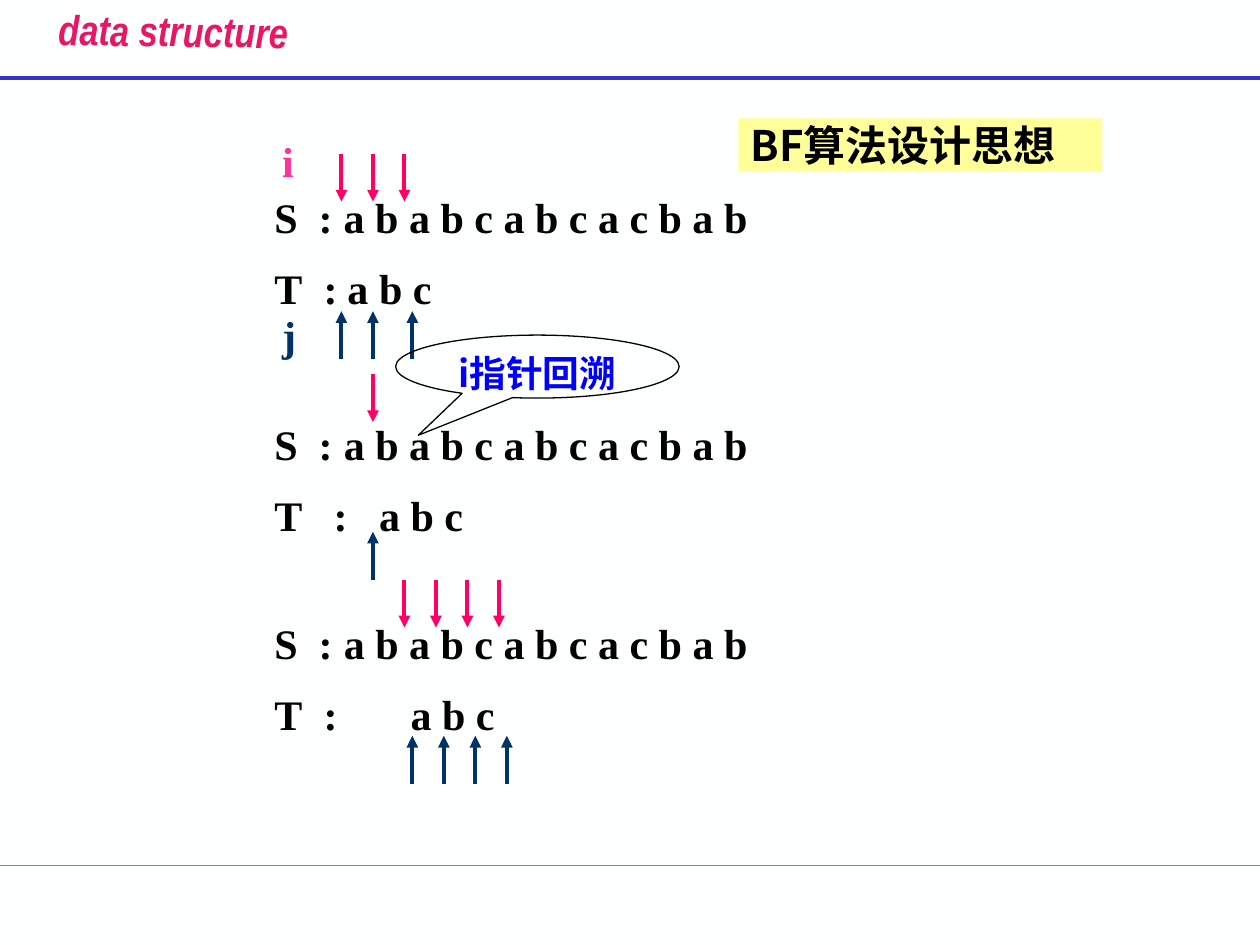
from dataclasses import dataclass

from lxml import etree
from pptx import Presentation
from pptx.dml.color import RGBColor
from pptx.enum.shapes import MSO_CONNECTOR, MSO_SHAPE
from pptx.enum.text import MSO_ANCHOR, PP_ALIGN
from pptx.oxml.ns import qn
from pptx.util import Inches, Pt

STRAIGHT = MSO_CONNECTOR.STRAIGHT
RECT, CALLOUT = MSO_SHAPE.RECTANGLE, MSO_SHAPE.OVAL_CALLOUT
LEFT, CENTER = PP_ALIGN.LEFT, PP_ALIGN.CENTER
TOP, MIDDLE = MSO_ANCHOR.TOP, MSO_ANCHOR.MIDDLE

BACKGROUND = RGBColor(0xFE, 0xFF, 0xFF)
BLACK = RGBColor(0x00, 0x00, 0x00)
BLUE = RGBColor(0x00, 0x00, 0xFF)
RULE_BLUE = RGBColor(0x33, 0x33, 0xCC)
RULE_GREEN = RGBColor(0x00, 0xCC, 0x99)
CRIMSON = RGBColor(0xE8, 0x17, 0x66)
ROSE = RGBColor(0xFF, 0x00, 0x66)
PINK = RGBColor(0xFF, 0x33, 0x99)
NAVY = RGBColor(0x00, 0x33, 0x66)
YELLOW = RGBColor(0xFF, 0xFF, 0x99)

SERIF, CJK, NARROW = "Times New Roman", "Noto Sans CJK SC", "Arial Narrow"
WIDTH, HEIGHT = 10, 7.5
GRID_LEFT, COLUMN = 2.71, 0.25
ARROW_LENGTH = 0.38
SOURCE, PATTERN = "a b a b c a b c a c b a b", "a b c"


@dataclass(frozen=True)
class ArrowRow:
    tail: float
    direction: int
    color: RGBColor
    columns: tuple[float, ...]


@dataclass(frozen=True)
class MatchStep:
    top: float
    width: float
    shift: int
    colon: float


@dataclass(frozen=True)
class Pointer:
    name: str
    top: float
    width: float
    color: RGBColor


ARROW_ROWS = (
    ArrowRow(1.22, 1, ROSE, (0, 1, 2)),
    ArrowRow(2.85, -1, NAVY, (0, 1, 2.25)),
    ArrowRow(2.97, 1, ROSE, (1,)),
    ArrowRow(4.6, -1, NAVY, (1,)),
    ArrowRow(4.6, 1, ROSE, (2, 3, 4, 5)),
    ArrowRow(6.22, -1, NAVY, (2.25, 3.25, 4.25, 5.25)),
)
STEPS = (
    MatchStep(1.47, 5.94, 0, 0.39),
    MatchStep(3.27, 6.31, 1, 0.47),
    MatchStep(4.85, 4.31, 2, 0.39),
)
POINTERS = (Pointer("i", 1.03, 0.69, PINK), Pointer("j", 2.41, 0.38, NAVY))


def write(sp, text: str, *, font: str = SERIF, size: float = 24,
          color: RGBColor = BLACK, italic: bool = False, align=LEFT,
          anchor=TOP, wrap: bool = True, before: int = 0,
          tabs: tuple[tuple[float, ...], ...] = ()) -> None:
    tf = sp.text_frame
    tf.word_wrap = wrap
    tf.vertical_anchor = anchor
    for n, line in enumerate(text.split("\n")):
        p = tf.paragraphs[0] if n == 0 else tf.add_paragraph()
        p.alignment = align
        p_pr = p._p.get_or_add_pPr()
        if before:
            spacing = etree.SubElement(p_pr, qn("a:spcBef"))
            etree.SubElement(spacing, qn("a:spcPct"), val=str(before * 1000))
        if tabs:
            stops = etree.SubElement(p_pr, qn("a:tabLst"))
            for stop in tabs[n]:
                etree.SubElement(stops, qn("a:tab"), pos=str(Inches(stop)), algn="l")
        r = p.add_run()
        r.text = line
        r.font.name, r.font.size = font, Pt(size)
        r.font.bold, r.font.italic = True, italic
        r.font.color.rgb = color
        etree.SubElement(r.font._element, qn("a:ea"), typeface=font)


def add_text(s, left: float, top: float, width: float, height: float,
             text: str, **style):
    sp = s.shapes.add_textbox(*map(Inches, (left, top, width, height)))
    write(sp, text, **style)
    return sp


def add_line(s, x1: float, y1: float, x2: float, y2: float,
             color: RGBColor, weight: float = 2.25, arrow: bool = False) -> None:
    line = s.shapes.add_connector(STRAIGHT, *map(Inches, (x1, y1, x2, y2)))
    line.line.color.rgb = color
    line.line.width = Pt(weight)
    if arrow:
        etree.SubElement(line.line._get_or_add_ln(), qn("a:tailEnd"), type="triangle")
    etree.SubElement(line._element.spPr, qn("a:effectLst"))


def add_arrow_row(s, row: ArrowRow) -> None:
    for column in row.columns:
        x = GRID_LEFT + column * COLUMN
        add_line(s, x, row.tail, x, row.tail + row.direction * ARROW_LENGTH,
                 row.color, arrow=True)


def add_step(s, step: MatchStep) -> None:
    pattern_start = 0.58 + step.shift * COLUMN
    add_text(s, 2.08, step.top, step.width, 1.11,
             f"S\t:\t{SOURCE}\nT\t:\t{PATTERN}", before=50,
             tabs=((0.35, 0.55), (step.colon, pattern_start)))


def add_heading(s) -> None:
    sp = s.shapes.add_shape(RECT, *map(Inches, (5.86, 0.94, 2.89, 0.42)))
    sp.shadow.inherit = False
    sp.fill.solid()
    sp.fill.fore_color.rgb = YELLOW
    sp.line.fill.background()
    write(sp, "BF算法设计思想", font=CJK, anchor=MIDDLE)


def add_callout(s) -> None:
    sp = s.shapes.add_shape(CALLOUT, *map(Inches, (3.14, 2.66, 2.25, 0.5)))
    sp.adjustments[0], sp.adjustments[1] = -0.42, 1.09
    sp.shadow.inherit = False
    sp.fill.background()
    sp.line.color.rgb = BLACK
    sp.line.width = Pt(0.75)
    write(sp, "i指针回溯", font=CJK, size=21, color=BLUE, align=CENTER, before=20)


def main() -> None:
    prs = Presentation()
    prs.slide_width, prs.slide_height = Inches(WIDTH), Inches(HEIGHT)
    s = prs.slides.add_slide(prs.slide_layouts[6])
    s.background.fill.solid()
    s.background.fill.fore_color.rgb = BACKGROUND

    add_line(s, 0, 6.87, WIDTH, 6.87, RULE_GREEN, 0.75)
    add_line(s, 0, 0.62, WIDTH, 0.62, RULE_BLUE)
    title = add_text(s, 0.23, -0.01, 2.29, 0.54, "data structure", font=NARROW,
                     color=CRIMSON, italic=True, align=CENTER, wrap=False)
    title.rotation = 0.8

    for step in STEPS:
        add_step(s, step)
    for pointer in POINTERS:
        add_text(s, 2.14, pointer.top, pointer.width, 0.5, pointer.name,
                 color=pointer.color, before=50)
    for row in ARROW_ROWS:
        add_arrow_row(s, row)
    add_callout(s)
    add_heading(s)
    prs.save("out.pptx")


if __name__ == "__main__":
    main()
